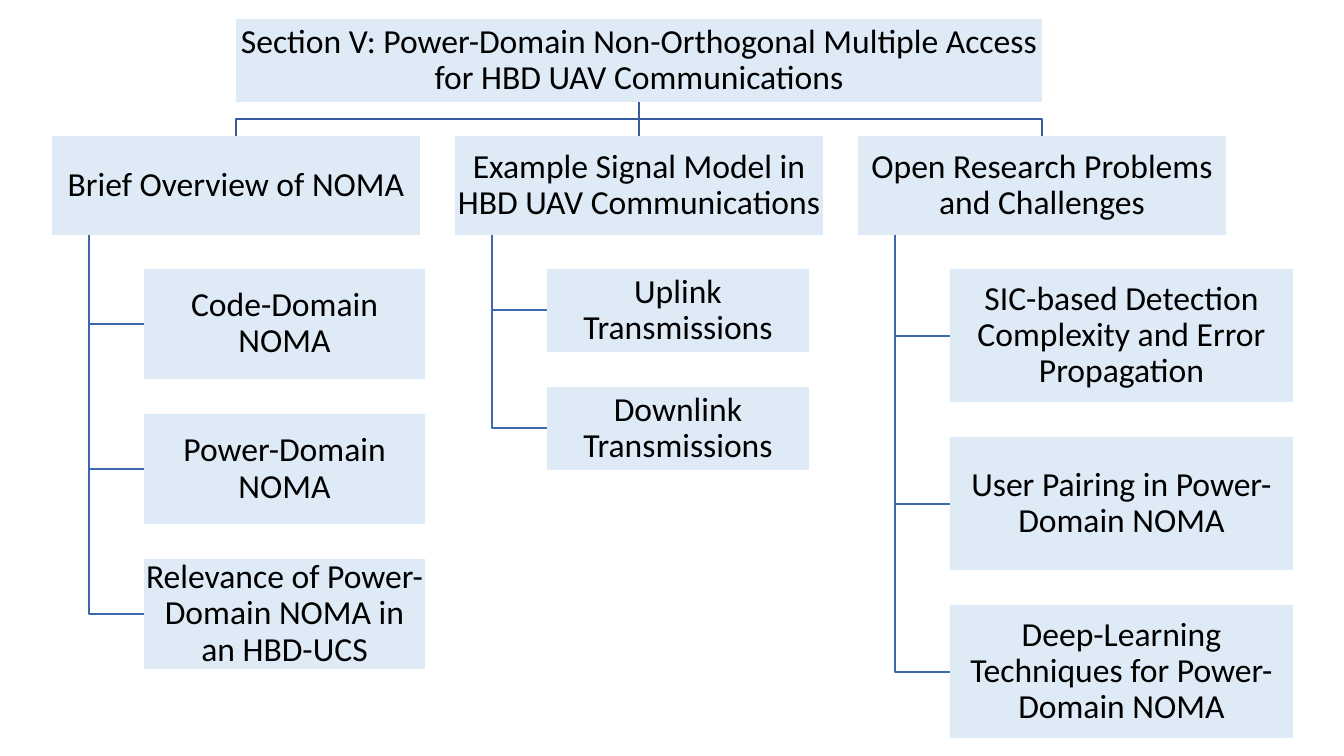
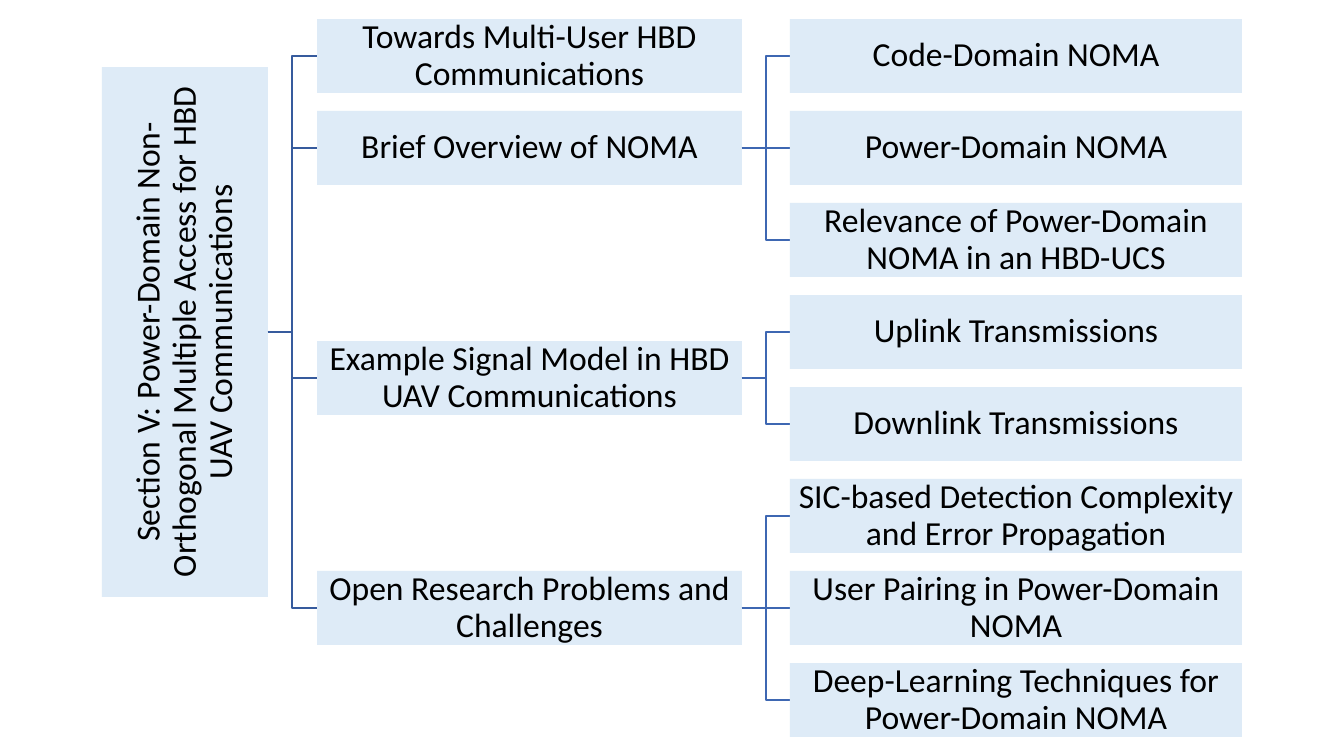
"""Build two views of one section outline: a top-down tree and a left-to-right tree."""
from lxml import etree
from pptx import Presentation
from pptx.dml.color import RGBColor
from pptx.enum.shapes import MSO_CONNECTOR, MSO_SHAPE
from pptx.enum.text import MSO_ANCHOR, MSO_AUTO_SIZE, PP_ALIGN
from pptx.oxml.ns import qn
from pptx.util import Pt

STRAIGHT = MSO_CONNECTOR.STRAIGHT
RECTANGLE = MSO_SHAPE.RECTANGLE
MIDDLE = MSO_ANCHOR.MIDDLE
CENTER = PP_ALIGN.CENTER
NO_FIT = MSO_AUTO_SIZE.NONE
SCALE = 914400 / 100.8
TITLE_ONLY = 5

BOX_FILL, TEXT_COLOR = "DEEBF7", "000000"
TRUNK_COLOR, BRANCH_COLOR = "365B9D", "3E67B2"
FONT, FONT_SIZE, INSET = "Calibri", 24, 2

SECTION = "Section V: Power-Domain Non-Orthogonal Multiple Access for HBD UAV Communications"
TOPICS = [
    ("Brief Overview of NOMA",
     ["Code-Domain NOMA", "Power-Domain NOMA", "Relevance of Power-Domain NOMA in an HBD-UCS"]),
    ("Example Signal Model in HBD UAV Communications",
     ["Uplink Transmissions", "Downlink Transmissions"]),
    ("Open Research Problems and Challenges",
     ["SIC-based Detection Complexity and Error Propagation",
      "User Pairing in Power-Domain NOMA",
      "Deep-Learning Techniques for Power-Domain NOMA"]),
]


def add_box(page, text, left, top, width, height, title=False, rotation=0):
    """Place a filled text box, using the title placeholder for the section."""
    place = [round(value * SCALE) for value in (left, top, width, height)]
    box = page.shapes.title if title else page.shapes.add_shape(RECTANGLE, *place)
    box.left, box.top, box.width, box.height = place
    box.rotation = rotation
    box.shadow.inherit = False
    box.fill.solid()
    box.fill.fore_color.rgb = RGBColor.from_string(BOX_FILL)
    box.line.fill.background()
    frame = box.text_frame
    frame.word_wrap = True
    frame.auto_size = NO_FIT
    frame.vertical_anchor = MIDDLE
    inset = round(INSET * SCALE)
    frame.margin_left = frame.margin_right = frame.margin_top = frame.margin_bottom = inset
    para = frame.paragraphs[0]
    para.alignment = CENTER
    para.line_spacing = 0.9
    span = para.add_run()
    span.text = text
    span.font.name = FONT
    span.font.size = Pt(FONT_SIZE)
    span.font.color.rgb = RGBColor.from_string(TEXT_COLOR)


def add_wire(page, points, color):
    """Draw a straight or bent line through the points."""
    start, end = points[0], points[-1]
    if start[0] == end[0] or start[1] == end[1]:
        ends = [round(value * SCALE) for value in start + end]
        wire = page.shapes.add_connector(STRAIGHT, *ends)
    else:
        builder = page.shapes.build_freeform(*start, scale=SCALE)
        builder.add_line_segments(points[1:], close=False)
        wire = builder.convert_to_shape()
        wire.fill.background()
    wire.line.color.rgb = RGBColor.from_string(color)
    wire.line.width = Pt(1)
    etree.SubElement(wire._element.spPr, qn("a:effectLst"))


deck = Presentation()
deck.slide_width = round(1344 * SCALE)
deck.slide_height = round(756 * SCALE)
layout = deck.slide_layouts[TITLE_ONLY]

page = deck.slides.add_slide(layout)
add_box(page, SECTION, 236, 19, 806, 83, title=True)
title_center, title_bottom, bus_y = 639, 102, 119
head_top, head_width, head_height, head_step = 136, 368, 99, 403
item_top, item_gap = 269, 35
item_sizes = [(281, 110), (262, 83), (343, 133)]
for column, ((topic, items), (width, height)) in enumerate(zip(TOPICS, item_sizes)):
    left = 52 + column * head_step
    center = left + head_width // 2
    add_wire(page, [(title_center, title_bottom), (title_center, bus_y),
                    (center, bus_y), (center, head_top)], TRUNK_COLOR)
    add_box(page, topic, left, head_top, head_width, head_height)
    spine, item_left = left + 37, left + 92
    for row, item in enumerate(items):
        top = item_top + row * (height + item_gap)
        middle = top + height / 2
        add_wire(page, [(spine, head_top + head_height), (spine, middle),
                        (item_left, middle)], BRANCH_COLOR)
        add_box(page, item, item_left, top, width, height)

page = deck.slides.add_slide(layout)
add_box(page, SECTION, -80, 249, 530, 166, title=True, rotation=270)
title_right, title_middle = 268, 332
topic_left, topic_width = 317, 425
topic_right = topic_left + topic_width
item_left, item_width = 790, 452
first_top, row_height, row_step = 19, 74, 92
trunk_x = (title_right + topic_left) // 2
branch_x = (topic_right + item_left) // 2
first_row = 0
for topic, items in [("Towards Multi-User HBD Communications", [])] + TOPICS:
    topic_row = first_row + max(len(items) - 1, 0) / 2
    topic_top = first_top + topic_row * row_step
    topic_middle = topic_top + row_height / 2
    add_wire(page, [(title_right, title_middle), (trunk_x, title_middle),
                    (trunk_x, topic_middle), (topic_left, topic_middle)], TRUNK_COLOR)
    add_box(page, topic, topic_left, topic_top, topic_width, row_height)
    for row, item in enumerate(items, first_row):
        top = first_top + row * row_step
        middle = top + row_height / 2
        add_wire(page, [(topic_right, topic_middle), (branch_x, topic_middle),
                        (branch_x, middle), (item_left, middle)], BRANCH_COLOR)
        add_box(page, item, item_left, top, item_width, row_height)
    first_row += len(items)

deck.save("out.pptx")
